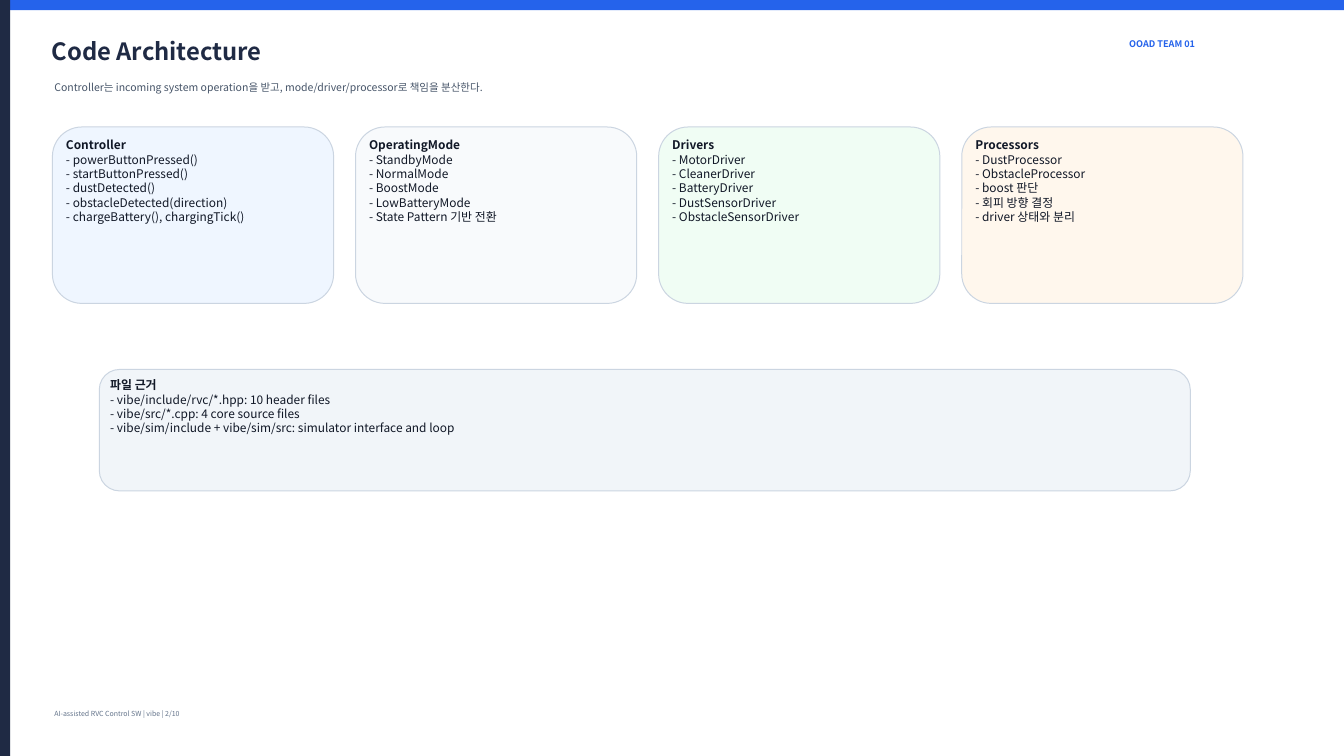
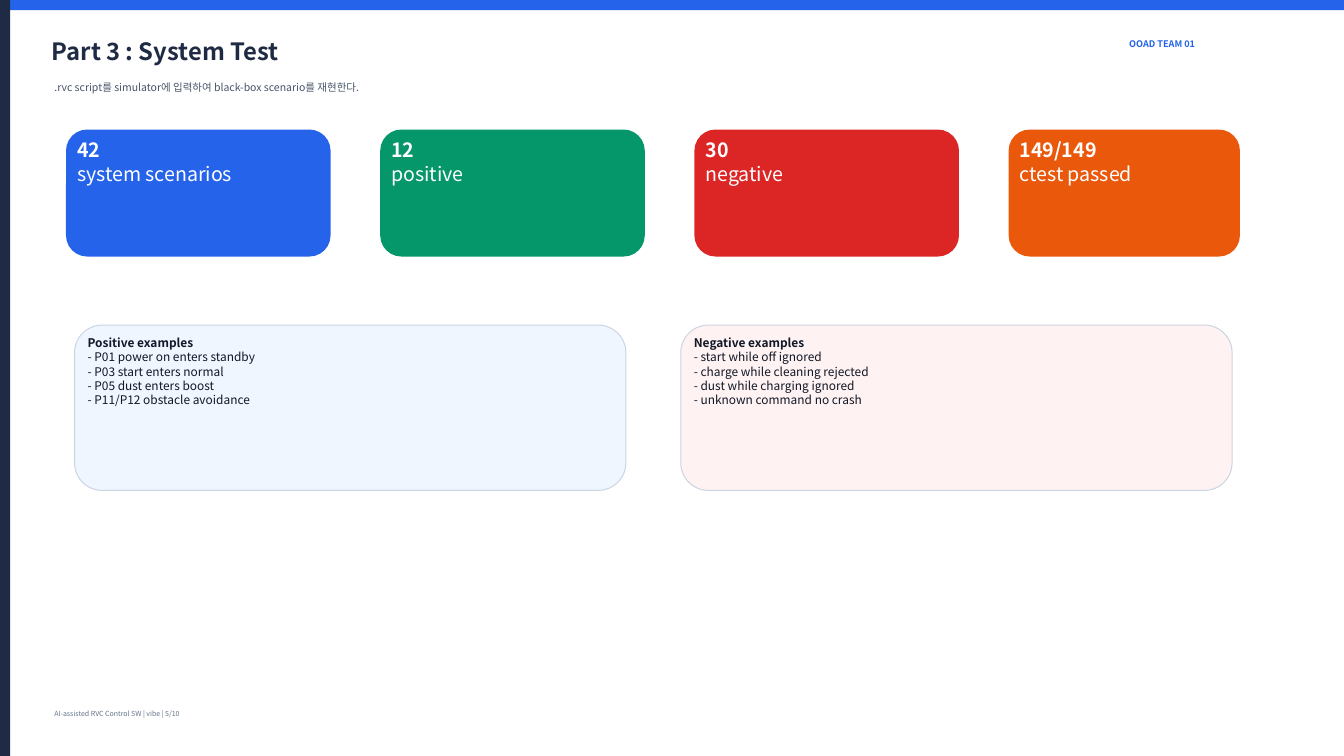
from pptx import Presentation
from pptx.dml.color import RGBColor
from pptx.enum.shapes import MSO_SHAPE
from pptx.enum.text import MSO_ANCHOR, MSO_AUTO_SIZE, PP_ALIGN
from pptx.util import Inches, Pt

FONT = "Noto Sans CJK KR"
WIDTH, HEIGHT, BAND = 26.67, 15, 0.2

BLUE = RGBColor(0x25, 0x63, 0xEB)
NAVY = RGBColor(0x1F, 0x2A, 0x44)
GREEN = RGBColor(0x05, 0x96, 0x69)
RED = RGBColor(0xDC, 0x26, 0x26)
ORANGE = RGBColor(0xEA, 0x58, 0x0C)
WHITE = RGBColor(0xFF, 0xFF, 0xFF)
INK = RGBColor(0x11, 0x18, 0x27)
SLATE = RGBColor(0x47, 0x55, 0x69)
GRAY = RGBColor(0x64, 0x74, 0x8B)
BORDER = RGBColor(0xCB, 0xD5, 0xE1)
PALE_BLUE = RGBColor(0xEF, 0xF6, 0xFF)
PALE_GRAY = RGBColor(0xF8, 0xFA, 0xFC)
PALE_GREEN = RGBColor(0xF0, 0xFD, 0xF4)
PALE_ORANGE = RGBColor(0xFF, 0xF7, 0xED)
PALE_RED = RGBColor(0xFE, 0xF2, 0xF2)
PALE_SLATE = RGBColor(0xF1, 0xF5, 0xF9)


def write(sp, lines, size, color, bold_first=False):
    tf = sp.text_frame
    tf.word_wrap = True
    tf.auto_size = MSO_AUTO_SIZE.SHAPE_TO_FIT_TEXT
    tf.vertical_anchor = MSO_ANCHOR.TOP
    for i, line in enumerate(lines):
        p = tf.add_paragraph() if i else tf.paragraphs[0]
        p.text = line
        p.alignment = PP_ALIGN.LEFT
        p.font.name = FONT
        p.font.size = Pt(size)
        p.font.bold = bold_first and i == 0
        p.font.color.rgb = color


def add_label(s, box, text, size, color, bold=False):
    sp = s.shapes.add_textbox(*map(Inches, box))
    write(sp, [text], size, color, bold)


def add_block(s, kind, box, fill, border=None):
    sp = s.shapes.add_shape(kind, *map(Inches, box))
    sp.shadow.inherit = False
    sp.fill.solid()
    sp.fill.fore_color.rgb = fill
    if border is None:
        sp.line.fill.background()
    else:
        sp.line.color.rgb = border
        sp.line.width = Pt(1.42)
    return sp


def add_card(s, box, fill, lines):
    sp = add_block(s, MSO_SHAPE.ROUNDED_RECTANGLE, box, fill, BORDER)
    write(sp, lines, 17, INK, True)


def add_metric(s, box, fill, value, caption):
    sp = add_block(s, MSO_SHAPE.ROUNDED_RECTANGLE, box, fill)
    write(sp, [value, caption], 28, WHITE, True)


def add_base_slide(prs, title, subtitle, number):
    s = prs.slides.add_slide(prs.slide_layouts[6])
    add_block(s, MSO_SHAPE.RECTANGLE, (0, 0, WIDTH, BAND), BLUE)
    add_block(s, MSO_SHAPE.RECTANGLE, (0, 0, BAND, HEIGHT), NAVY)
    add_label(s, (0.93, 0.68, 19.69, 0.93), title, 34, NAVY, True)
    add_label(s, (0.98, 1.55, 20.78, 0.57), subtitle, 15, SLATE)
    add_label(s, (22.31, 0.72, 2.95, 0.46), "OOAD TEAM 01", 13, BLUE, True)
    add_label(s, (0.98, 14.02, 13.12, 0.33),
              f"AI-assisted RVC Control SW | vibe | {number}/10", 10, GRAY)
    return s


def add_architecture(prs):
    s = add_base_slide(
        prs, "Code Architecture",
        "Controller는 incoming system operation을 받고, "
        "mode/driver/processor로 책임을 분산한다.", 2)
    modules = [
        (PALE_BLUE, ["Controller", "- powerButtonPressed()",
                     "- startButtonPressed()", "- dustDetected()",
                     "- obstacleDetected(direction)",
                     "- chargeBattery(), chargingTick()"]),
        (PALE_GRAY, ["OperatingMode", "- StandbyMode", "- NormalMode",
                     "- BoostMode", "- LowBatteryMode",
                     "- State Pattern 기반 전환"]),
        (PALE_GREEN, ["Drivers", "- MotorDriver", "- CleanerDriver",
                      "- BatteryDriver", "- DustSensorDriver",
                      "- ObstacleSensorDriver"]),
        (PALE_ORANGE, ["Processors", "- DustProcessor",
                       "- ObstacleProcessor", "- boost 판단",
                       "- 회피 방향 결정", "- driver 상태와 분리"]),
    ]
    for i, (fill, lines) in enumerate(modules):
        add_card(s, (1.04 + 6.015 * i, 2.52, 5.58, 3.5), fill, lines)
    add_card(s, (1.97, 7.33, 21.65, 2.41), PALE_SLATE, [
        "파일 근거",
        "- vibe/include/rvc/*.hpp: 10 header files",
        "- vibe/src/*.cpp: 4 core source files",
        "- vibe/sim/include + vibe/sim/src: simulator interface and loop"])


def add_system_test(prs):
    s = add_base_slide(
        prs, "Part 3 : System Test",
        ".rvc script를 simulator에 입력하여 black-box scenario를 재현한다.", 5)
    metrics = [
        (BLUE, "42", "system scenarios", 5.25),
        (GREEN, "12", "positive", 5.25),
        (RED, "30", "negative", 5.25),
        (ORANGE, "149/149", "ctest passed", 4.59),
    ]
    for i, (fill, value, caption, width) in enumerate(metrics):
        add_metric(s, (1.31 + 6.235 * i, 2.57, width, 2.52),
                   fill, value, caption)
    examples = [
        (PALE_BLUE, ["Positive examples", "- P01 power on enters standby",
                     "- P03 start enters normal", "- P05 dust enters boost",
                     "- P11/P12 obstacle avoidance"]),
        (PALE_RED, ["Negative examples", "- start while off ignored",
                    "- charge while cleaning rejected",
                    "- dust while charging ignored",
                    "- unknown command no crash"]),
    ]
    for i, (fill, lines) in enumerate(examples):
        add_card(s, (1.48 + 12.03 * i, 6.45, 10.94, 3.28), fill, lines)


def main():
    prs = Presentation()
    prs.slide_width = Inches(WIDTH)
    prs.slide_height = Inches(HEIGHT)
    add_architecture(prs)
    add_system_test(prs)
    prs.save("out.pptx")


if __name__ == "__main__":
    main()
